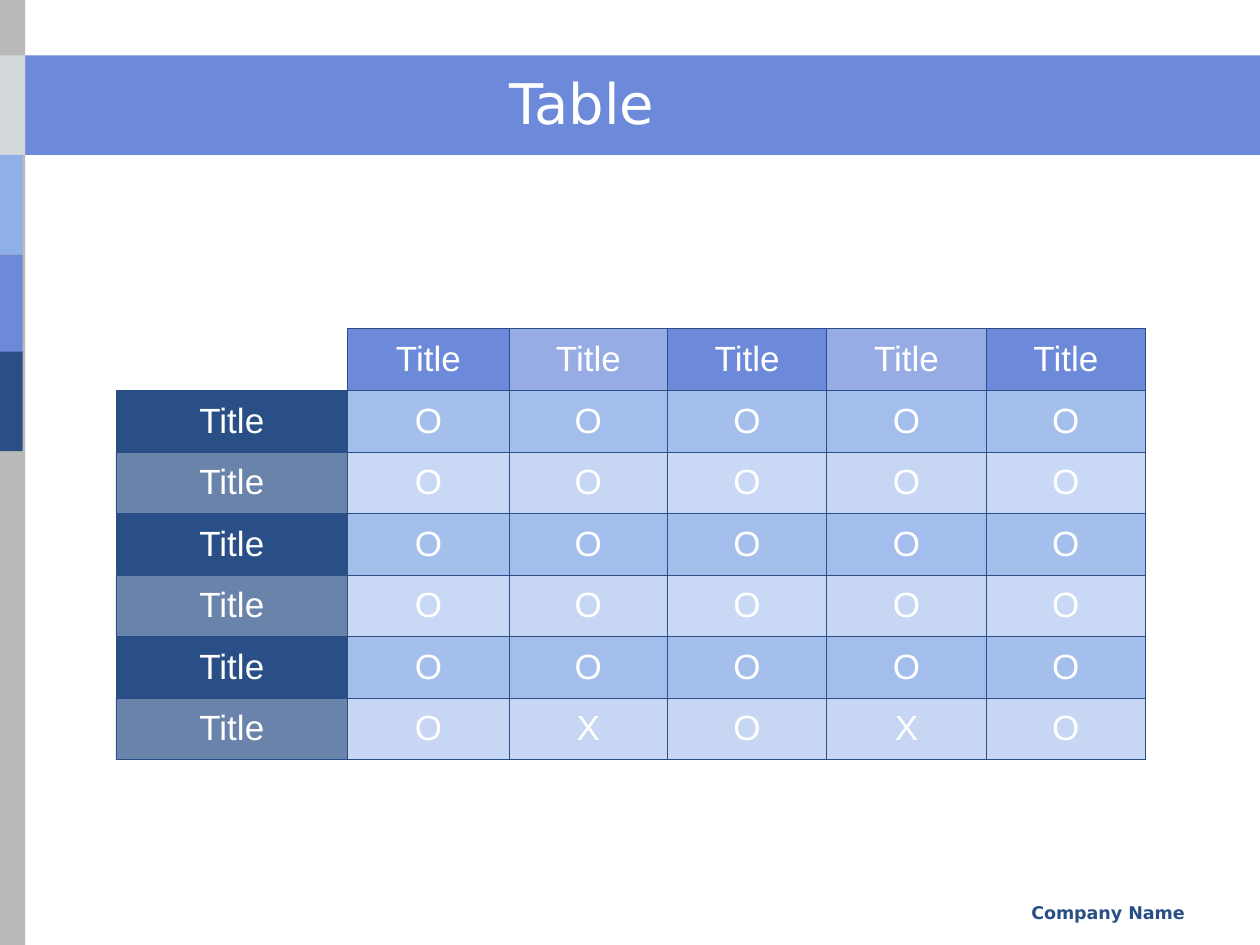
from lxml.etree import SubElement
from pptx import Presentation
from pptx.dml.color import RGBColor
from pptx.enum.shapes import MSO_SHAPE
from pptx.enum.text import MSO_ANCHOR, PP_ALIGN
from pptx.oxml.ns import qn
from pptx.util import Inches, Pt

COLORS = {
    "white": "FFFFFF",
    "gray": "BABABA",
    "silver": "D3D9DD",
    "sky": "8FAFE9",
    "blue": "6C89DA",
    "navy": "2A4F86",
}


def write_text(text_frame, text, size=20, font="Arial", color="white", bold=False, align=PP_ALIGN.CENTER):
    text_frame.word_wrap = True
    paragraph = text_frame.paragraphs[0]
    paragraph.text = text
    paragraph.alignment = align
    run_font = paragraph.runs[0].font
    run_font.size = Pt(size)
    run_font.name = font
    run_font.bold = bold
    run_font.color.rgb = RGBColor.from_string(COLORS[color])


def add_border(cell, side):
    line = SubElement(cell._tc.get_or_add_tcPr(), qn(f"a:ln{side}"), w=str(Pt(0.45)))
    SubElement(SubElement(line, qn("a:solidFill")), qn("a:srgbClr"), val=COLORS["navy"])


presentation = Presentation()
presentation.slide_width = Inches(10)
presentation.slide_height = Inches(7.5)
slide = presentation.slides.add_slide(presentation.slide_layouts[5])

bars = [
    (0, 0.44, 10, 0.79, "blue"),
    (-0.01, 0, 0.21, 7.5, "gray"),
    (0, 0.44, 0.2, 0.79, "silver"),
    (-0.02, 1.23, 0.2, 0.79, "sky"),
    (-0.02, 2.02, 0.2, 0.79, "blue"),
    (-0.02, 2.79, 0.2, 0.79, "navy"),
]
for left, top, width, height, color in bars:
    bar = slide.shapes.add_shape(
        MSO_SHAPE.RECTANGLE, Inches(left), Inches(top), Inches(width), Inches(height)
    )
    bar.shadow.inherit = False
    bar.fill.solid()
    bar.fill.fore_color.rgb = RGBColor.from_string(COLORS[color])
    bar.line.fill.background()

company = slide.shapes.add_textbox(Inches(6.33), Inches(7.11), Inches(3.17), Inches(0.25))
write_text(company.text_frame, "Company Name", size=10, font="DejaVu Sans", color="navy",
           bold=True, align=PP_ALIGN.RIGHT)

title = slide.shapes.title
title.left, title.top = Inches(0.58), Inches(0.5)
title.width, title.height = Inches(8.08), Inches(0.62)
title.text_frame.vertical_anchor = MSO_ANCHOR.MIDDLE
write_text(title.text_frame, "Table", size=32, font="DejaVu Sans")
title.element.getparent().append(title.element)

rows = [["", *["Title"] * 5]]
rows += [["Title", *"OOOOO"] for _ in range(5)]
rows += [["Title", *"OXOXO"]]
column_widths = [1.84, 1.28, 1.26, 1.26, 1.27, 1.26]

table = slide.shapes.add_table(
    len(rows), len(column_widths), Inches(0.92), Inches(2.61), Inches(8.17), Inches(3.42)
).table
table.first_row = False
table.horz_banding = False
for column, width in zip(table.columns, column_widths):
    column.width = Inches(width)

for row_index, row in enumerate(rows):
    for column_index, text in enumerate(row):
        cell = table.cell(row_index, column_index)
        cell.vertical_anchor = MSO_ANCHOR.MIDDLE
        for side in "LRTB" if text else "RB":
            add_border(cell, side)
        if not text:
            cell.fill.background()
            continue

        write_text(cell.text_frame, text)
        if row_index == 0:
            color, opacity = "blue", 100 if column_index % 2 else 70
        elif column_index == 0:
            color, opacity = "navy", 100 if row_index % 2 else 70
        elif row_index == len(rows) - 1:
            color, opacity = "sky", 50
        else:
            color = "sky"
            opacity = (80 if row_index % 2 else 48) + (0 if column_index % 2 else 2)
        cell.fill.solid()
        cell.fill.fore_color.rgb = RGBColor.from_string(COLORS[color])
        if opacity < 100:
            fill_color = cell._tc.tcPr.find(qn("a:solidFill"))[0]
            SubElement(fill_color, qn("a:alpha"), val=str(opacity * 1000))

presentation.save("out.pptx")
